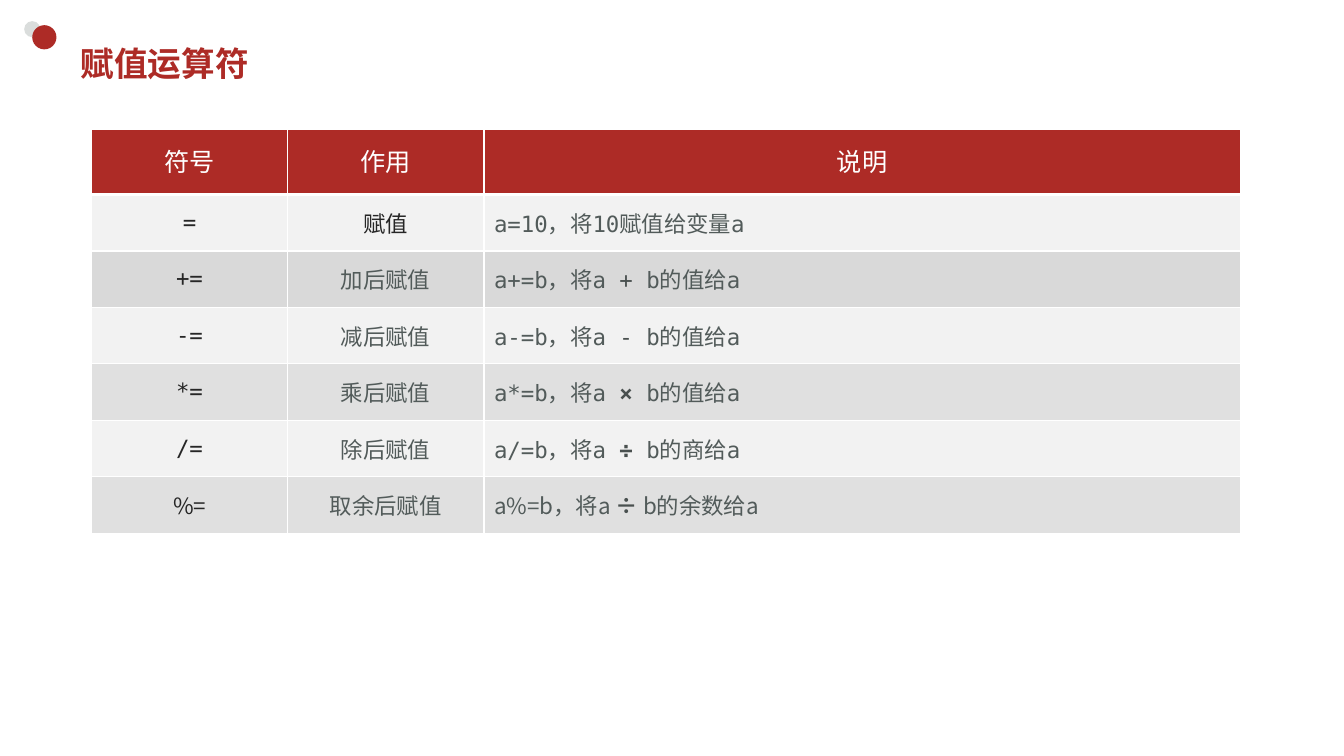
from dataclasses import dataclass

from lxml.etree import SubElement
from pptx import Presentation
from pptx.dml.color import RGBColor
from pptx.enum.shapes import MSO_SHAPE
from pptx.enum.text import MSO_ANCHOR, PP_ALIGN
from pptx.oxml.ns import qn
from pptx.slide import Slide
from pptx.table import Table, _Cell
from pptx.text.text import _Paragraph
from pptx.util import Inches, Pt

RED = RGBColor(0xAD, 0x2B, 0x26)
WHITE = RGBColor(0xFF, 0xFF, 0xFF)
DOT_GREY = RGBColor(0xDA, 0xDD, 0xDC)
LIGHT = RGBColor(0xF2, 0xF2, 0xF2)
DARK = RGBColor(0xD9, 0xD9, 0xD9)
INK = RGBColor(0x26, 0x26, 0x26)
BODY = RGBColor(0x52, 0x5B, 0x5A)
OPERATOR = RGBColor(0x49, 0x50, 0x4F)

MONO = "DejaVu Sans Mono"
CJK = "Noto Sans CJK JP"
HEADINGS = ("符号", "作用", "说明")
COLUMN_WIDTHS = (1.94, 1.95, 7.5)
HEADER_HEIGHT, ROW_HEIGHT = 0.65, 0.56
TABLE_LEFT, TABLE_TOP = 0.91, 1.28


@dataclass
class Dot:
    left: float
    top: float
    size: float
    color: RGBColor


@dataclass
class Assignment:
    symbol: str
    effect: str
    explanation: tuple[str, ...]  # text before, operator, text after
    fill: RGBColor
    alpha: int = 100
    effect_color: RGBColor = BODY
    bold_operator: bool = False
    font: str = MONO


def compound(symbol: str, effect: str, operator: str, result: str,
             fill: RGBColor, **options) -> Assignment:
    """Describe an operator that calculates with a and b, then stores in a."""
    explanation = (f"a{symbol}b，将a ", f"{operator} ", f"b的{result}给a")
    return Assignment(symbol, effect, explanation, fill, **options)


DOTS = (Dot(0.24, 0.21, 0.16, DOT_GREY), Dot(0.32, 0.25, 0.24, RED))
ASSIGNMENTS = (
    Assignment("=", "赋值", ("a=10，将10赋值给变量a",), LIGHT, effect_color=INK),
    compound("+=", "加后赋值", "+", "值", DARK),
    compound("-=", "减后赋值", "-", "值", LIGHT),
    compound("*=", "乘后赋值", "×", "值", DARK, alpha=80, bold_operator=True),
    compound("/=", "除后赋值", "÷", "商", LIGHT, bold_operator=True),
)
REMAINDER = compound("%=", "取余后赋值", "÷", "余数", DARK, alpha=80,
                     bold_operator=True, font=CJK)


def set_font(paragraph: _Paragraph, name: str, size: int, color: RGBColor,
             bold: bool = False) -> None:
    font = paragraph.font
    font.size, font.bold, font.name = Pt(size), bold, name
    font.color.rgb = color
    defaults = paragraph._p.pPr.find(qn("a:defRPr"))
    SubElement(defaults, qn("a:ea")).set("typeface", CJK)


def style_cell(cell: _Cell, fill: RGBColor, alpha: int = 100,
               top: int = 1, bottom: int = 1) -> None:
    """Give the cell white borders (widths in points) and a fill."""
    cell.vertical_anchor = MSO_ANCHOR.MIDDLE
    properties = cell._tc.get_or_add_tcPr()
    for side, width in (("L", 1), ("R", 1), ("T", top), ("B", bottom)):
        border = SubElement(properties, qn(f"a:ln{side}"), w=str(Pt(width)))
        solid = SubElement(border, qn("a:solidFill"))
        SubElement(solid, qn("a:srgbClr"), val=str(WHITE))
    cell.fill.solid()
    cell.fill.fore_color.rgb = fill
    if alpha < 100:
        color = properties.find(qn("a:solidFill")).find(qn("a:srgbClr"))
        SubElement(color, qn("a:alpha"), val=str(alpha * 1000))


def add_grid(slide: Slide, top: float, heights: list[float]) -> Table:
    table = slide.shapes.add_table(
        len(heights), len(COLUMN_WIDTHS), Inches(TABLE_LEFT), Inches(top),
        Inches(sum(COLUMN_WIDTHS)), Inches(sum(heights))).table
    table.first_row = table.horz_banding = False
    for column, width in zip(table.columns, COLUMN_WIDTHS):
        column.width = Inches(width)
    for row, height in zip(table.rows, heights):
        row.height = Inches(height)
    return table


def fill_header(table: Table) -> None:
    for cell, heading in zip(table.rows[0].cells, HEADINGS):
        style_cell(cell, RED, bottom=3)
        paragraph = cell.text_frame.paragraphs[0]
        paragraph.text = heading
        paragraph.alignment = PP_ALIGN.CENTER
        paragraph.line_spacing = Pt(24)
        set_font(paragraph, "Calibri", 18, WHITE)


def fill_row(table: Table, index: int, item: Assignment, top: int = 1) -> None:
    contents = (((item.symbol,), INK), ((item.effect,), item.effect_color),
                (item.explanation, BODY))
    for column, (parts, color) in enumerate(contents):
        cell = table.cell(index, column)
        style_cell(cell, item.fill, item.alpha, top=top)
        paragraph = cell.text_frame.paragraphs[0]
        paragraph.alignment = PP_ALIGN.LEFT if column == 2 else PP_ALIGN.CENTER
        set_font(paragraph, item.font, 16, color)
        for position, part in enumerate(parts):
            run = paragraph.add_run()
            run.text = part
            if position == 1:
                run.font.color.rgb = OPERATOR
                run.font.bold = item.bold_operator


def add_dot(slide: Slide, dot: Dot) -> None:
    circle = slide.shapes.add_shape(
        MSO_SHAPE.OVAL, Inches(dot.left), Inches(dot.top),
        Inches(dot.size), Inches(dot.size))
    circle.shadow.inherit = False
    circle.fill.solid()
    circle.fill.fore_color.rgb = dot.color
    circle.line.fill.background()


def add_title(slide: Slide, text: str) -> None:
    frame = slide.shapes.add_textbox(
        Inches(0.63), Inches(0.37), Inches(11.74), Inches(0.52)).text_frame
    frame.word_wrap = True
    frame.vertical_anchor = MSO_ANCHOR.MIDDLE
    frame.margin_left = Inches(0.17)
    paragraph = frame.paragraphs[0]
    paragraph.text = text
    set_font(paragraph, MONO, 24, RED, bold=True)


def main() -> None:
    presentation = Presentation()
    presentation.slide_width = Inches(13.33)
    presentation.slide_height = Inches(7.5)
    slide = presentation.slides.add_slide(presentation.slide_layouts[6])

    for dot in DOTS:
        add_dot(slide, dot)
    add_title(slide, "赋值运算符")

    heights = [HEADER_HEIGHT] + [ROW_HEIGHT] * len(ASSIGNMENTS)
    operators = add_grid(slide, TABLE_TOP, heights)
    fill_header(operators)
    for index, item in enumerate(ASSIGNMENTS, start=1):
        fill_row(operators, index, item, top=3 if index == 1 else 1)

    remainder = add_grid(slide, TABLE_TOP + sum(heights), [ROW_HEIGHT])
    fill_row(remainder, 0, REMAINDER)

    presentation.save("out.pptx")


if __name__ == "__main__":
    main()
